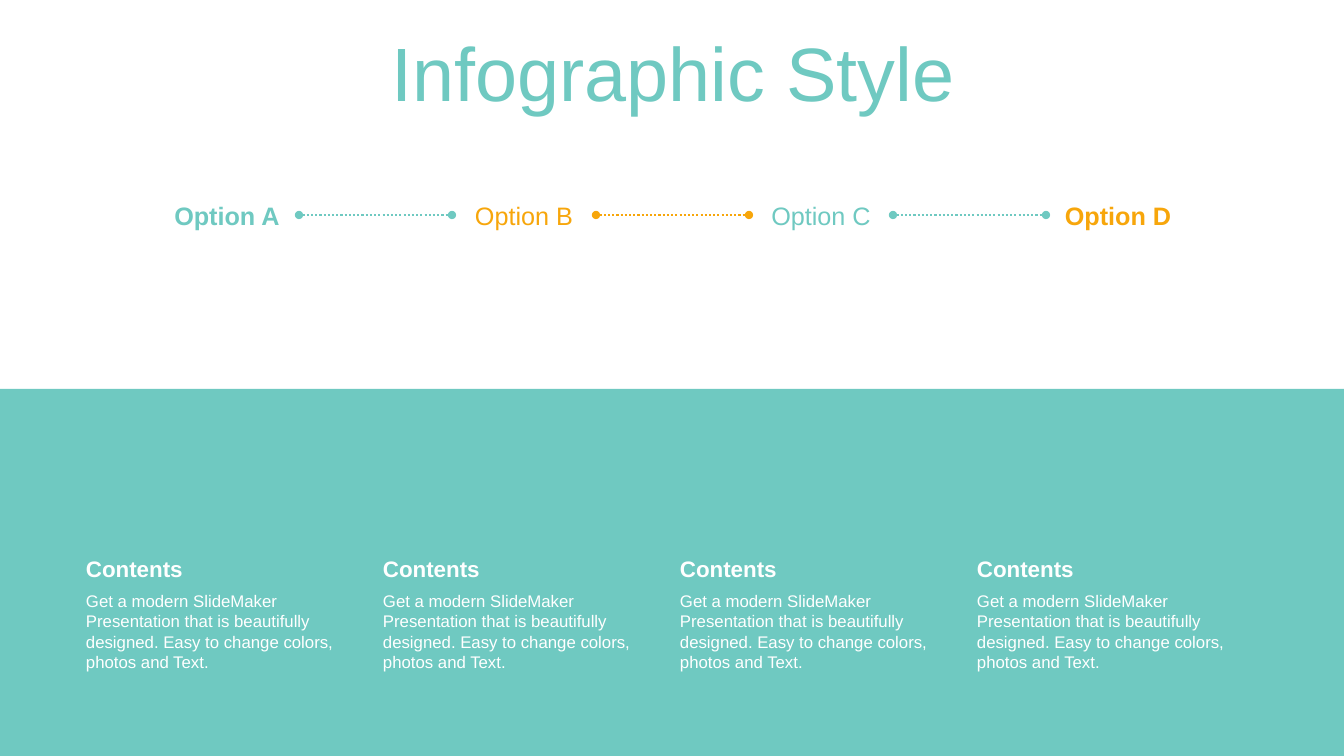
from dataclasses import dataclass
from lxml.etree import SubElement
from pptx import Presentation
from pptx.dml.color import RGBColor
from pptx.enum.dml import MSO_LINE_DASH_STYLE as DASH
from pptx.enum.shapes import MSO_CONNECTOR as CONNECTOR, MSO_SHAPE as SHAPE
from pptx.enum.text import MSO_ANCHOR as ANCHOR, PP_ALIGN as ALIGN
from pptx.oxml.ns import qn
from pptx.util import Emu, Pt


@dataclass(frozen=True)
class Theme:
    font: str = "Arial"
    teal: RGBColor = RGBColor(0x6F, 0xC9, 0xC1)
    orange: RGBColor = RGBColor(0xF7, 0xA6, 0x0B)
    white: RGBColor = RGBColor(0xFF, 0xFF, 0xFF)
    title: int = 54
    option: int = 18
    heading: int = 16
    body: int = 12


theme = Theme()


def px(length):
    return Emu(round(length * 914400 / 100.8))


def add_text(text, left, top, width, height, *, size, color, bold=False,
             align=ALIGN.LEFT, anchor=ANCHOR.TOP, spacing=1.0):
    box = slide.shapes.add_textbox(px(left), px(top), px(width), px(height))
    frame = box.text_frame
    frame.word_wrap = True
    frame.vertical_anchor = anchor
    frame.margin_left = frame.margin_right = 0
    frame.margin_top = frame.margin_bottom = 0
    paragraph = frame.paragraphs[0]
    paragraph.text = text
    paragraph.alignment = align
    paragraph.line_spacing = spacing
    font = paragraph.runs[0].font
    font.name = theme.font
    font.size = Pt(size)
    font.bold = bold
    font.color.rgb = color


presentation = Presentation()
presentation.slide_width = px(1344)
presentation.slide_height = px(756)
slide = presentation.slides.add_slide(presentation.slide_layouts[6])

band = slide.shapes.add_shape(SHAPE.RECTANGLE, 0, px(389), px(1344), px(367))
band.shadow.inherit = False
band.fill.solid()
band.fill.fore_color.rgb = theme.teal
band.line.fill.background()

add_text("Infographic Style", 35, 31, 1276, 93, size=theme.title, color=theme.teal,
         align=ALIGN.CENTER, anchor=ANCHOR.MIDDLE, spacing=0.9)

column_pitch = 297
body_text = ("Get a modern SlideMaker Presentation that is beautifully designed. "
             "Easy to change colors, photos and Text.")
options = [
    ("Option A", theme.teal, True),
    ("Option B", theme.orange, False),
    ("Option C", theme.teal, False),
    ("Option D", theme.orange, True),
]

for index, (label, color, bold) in enumerate(options):
    offset = index * column_pitch
    add_text("Contents", 86 + offset, 555, 267, 27,
             size=theme.heading, color=theme.white, bold=True)
    add_text(body_text, 86 + offset, 591, 267, 82, size=theme.body, color=theme.white)
    add_text(label, 155 + offset, 200, 144, 30, size=theme.option, color=color,
             bold=bold, align=ALIGN.CENTER)
    if index < len(options) - 1:
        link = slide.shapes.add_connector(CONNECTOR.STRAIGHT, px(299 + offset), px(215),
                                          px(452 + offset), px(215))
        link.line.color.rgb = color
        link.line.width = Pt(1.5)
        link.line.dash_style = DASH.ROUND_DOT
        line_element = link.line._get_or_add_ln()
        for end in ("a:headEnd", "a:tailEnd"):
            SubElement(line_element, qn(end), type="oval")
        SubElement(link._element.spPr, qn("a:effectLst"))

presentation.save("out.pptx")
